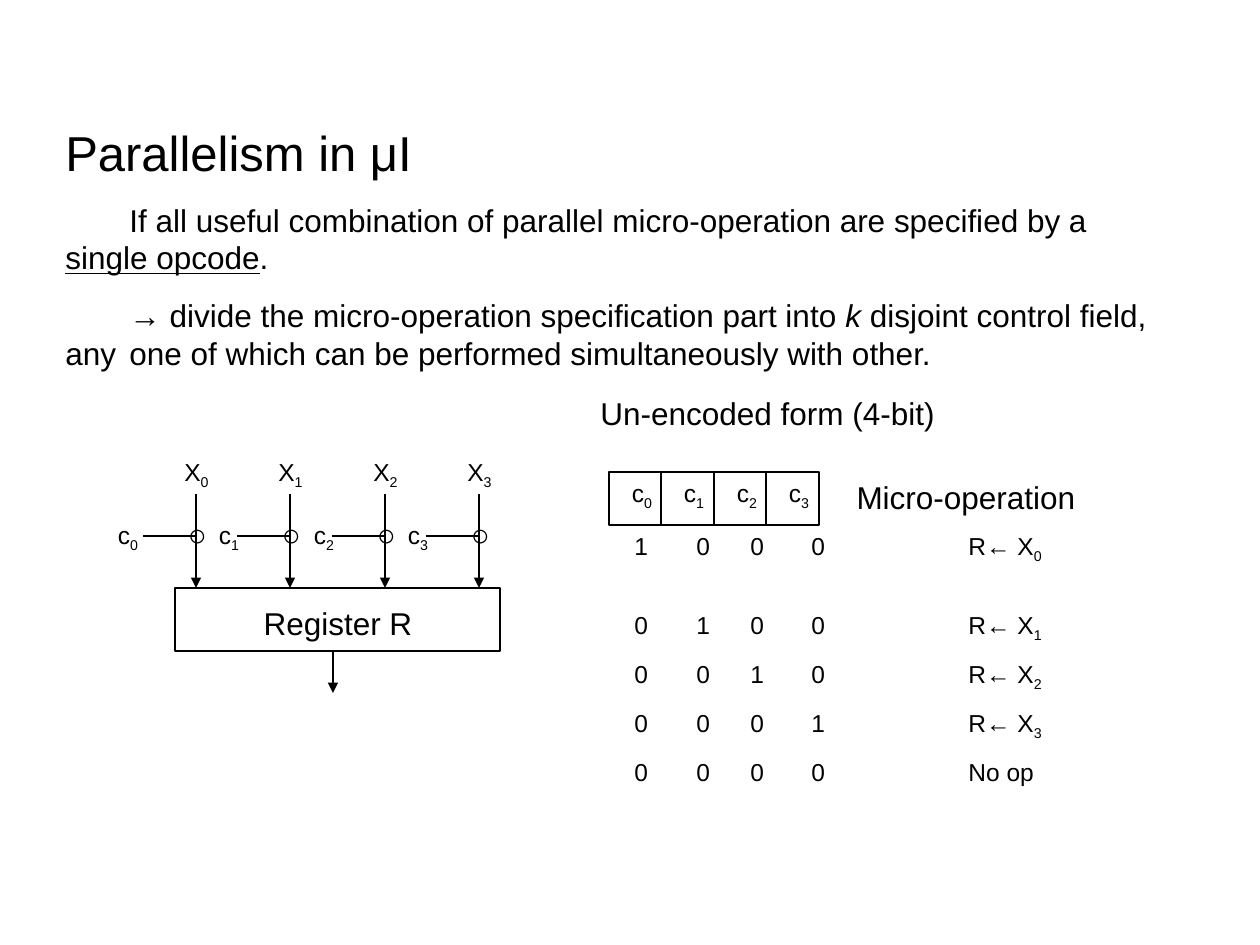
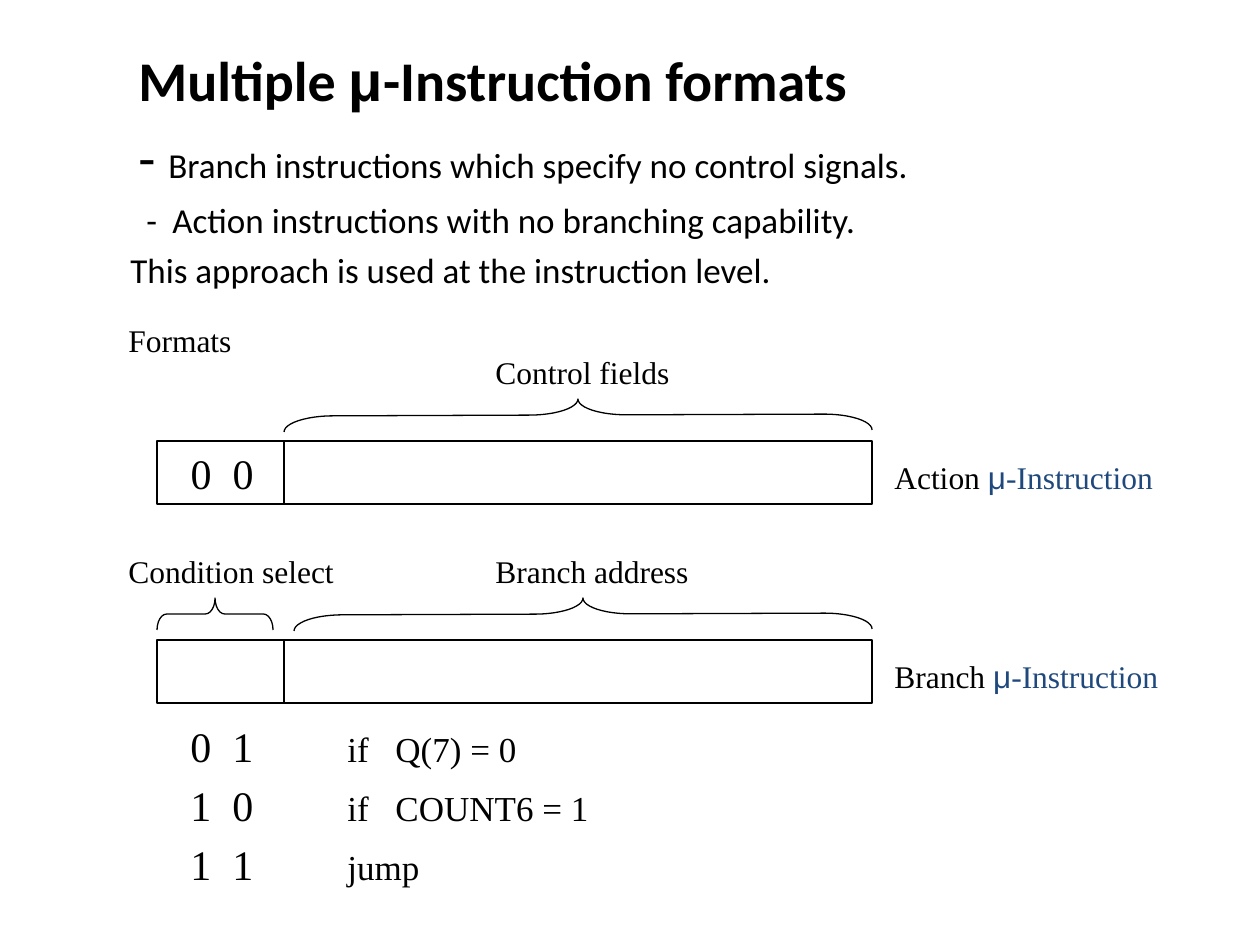
"""Builds two slides on parallelism and formats of micro-instructions."""
from lxml import etree
from pptx import Presentation
from pptx.dml.color import RGBColor
from pptx.enum.shapes import MSO_CONNECTOR, MSO_SHAPE
from pptx.enum.text import MSO_ANCHOR, PP_ALIGN
from pptx.oxml.ns import qn
from pptx.util import Pt

PX = 914400 / 126
BLACK = RGBColor(0, 0, 0)
WHITE = RGBColor(255, 255, 255)
NAVY = RGBColor(0x1F, 0x49, 0x7D)
LINE_WIDTH = Pt(0.75)
RECTANGLE, BRACE = MSO_SHAPE.RECTANGLE, MSO_SHAPE.LEFT_BRACE
STRAIGHT = MSO_CONNECTOR.STRAIGHT
LEFT, CENTER = PP_ALIGN.LEFT, PP_ALIGN.CENTER
TOP, MIDDLE = MSO_ANCHOR.TOP, MSO_ANCHOR.MIDDLE

SUBSCRIPT = {"baseline": -25000}
ARIAL_14 = {"name": "Arial", "size": Pt(14)}
ARIAL_18 = {"name": "Arial", "size": Pt(18)}
CALIBRI_20 = {"name": "Calibri", "size": Pt(20)}
CALIBRI_TITLE = {"name": "Calibri", "size": Pt(32), "bold": True}
TIMES_18 = {"name": "Times New Roman", "size": Pt(18)}
TIMES_24 = {"name": "Times New Roman", "size": Pt(24)}


def emu(px):
    """Turn px into EMU."""
    return round(px * PX)


def indexed(letter, index):
    """Return the spans of a letter with a subscript."""
    return [letter, (str(index), SUBSCRIPT)]


def add_span(para, text, font):
    """Add one run with the given font values."""
    span = para.add_run()
    span.text = text
    values = dict(font)
    baseline = values.pop("baseline", None)
    span.font.color.rgb = values.pop("color", BLACK)
    for key, value in values.items():
        setattr(span.font, key, value)
    if baseline:
        span._r.get_or_add_rPr().set("baseline", str(baseline))


def set_indents(para, margin=0, hanging=0, tabs=()):
    """Set either a hanging indent or tab stops on a paragraph."""
    properties = para._p.get_or_add_pPr()
    if hanging:
        properties.set("marL", str(emu(margin)))
        properties.set("indent", str(emu(-hanging)))
    if tabs:
        stops = etree.SubElement(properties, qn("a:tabLst"))
        for stop in tabs:
            etree.SubElement(stops, qn("a:tab"), pos=str(emu(stop)), algn="l")


def add_text(page, place, paras, font, align=LEFT, anchor=TOP):
    """Add a text box of (spans, layout) paragraphs."""
    box = page.shapes.add_textbox(*map(emu, place))
    frame = box.text_frame
    frame.word_wrap = True
    frame.vertical_anchor = anchor
    for index, (spans, layout) in enumerate(paras):
        para = frame.add_paragraph() if index else frame.paragraphs[0]
        layout = dict(layout)
        before = layout.pop("before", 0)
        set_indents(para, **layout)
        para.alignment = align
        if index:
            para.space_before = Pt(before)
        for span in spans:
            text, changes = (span, {}) if isinstance(span, str) else span
            add_span(para, text, font | changes)


def add_label(page, place, spans, font, align=LEFT):
    """Add a text box with a single paragraph."""
    add_text(page, place, [(spans, {})], font, align)


def add_box(page, left, top, width, height):
    """Add a white rectangle with a thin black outline."""
    box = page.shapes.add_shape(RECTANGLE, *map(emu, (left, top, width, height)))
    box.shadow.inherit = False
    box.fill.solid()
    box.fill.fore_color.rgb = WHITE
    box.line.color.rgb = BLACK
    box.line.width = LINE_WIDTH


def add_line(page, start, end, arrow=False):
    """Add a thin straight line, with an arrowhead at its end if asked."""
    line = page.shapes.add_connector(STRAIGHT, *map(emu, start + end))
    line.line.color.rgb = BLACK
    line.line.width = LINE_WIDTH
    if arrow:
        etree.SubElement(line.line._get_or_add_ln(), qn("a:tailEnd"), type="triangle")
    etree.SubElement(line._element.spPr, qn("a:effectLst"))


def add_brace(page, left, top, length, rotation=90.0):
    """Add a horizontal brace whose tip points up."""
    depth = 32
    place = (left + (length - depth) / 2, top - (length - depth) / 2, depth, length)
    brace = page.shapes.add_shape(BRACE, *map(emu, place))
    brace.rotation = rotation
    brace.adjustments[0] = length / 12 / depth
    brace.shadow.inherit = False
    brace.fill.background()
    brace.line.color.rgb = BLACK
    brace.line.width = LINE_WIDTH


def add_gated_input(page, index):
    """Add one register input with its control line."""
    x = 196 + index * 189 // 2
    control_left = x - (98 if index == 0 else 91)
    add_label(page, (x - 31, 451, 63, 47), indexed("X", index), ARIAL_14, CENTER)
    add_line(page, (x, 494), (x, 588), arrow=True)
    add_label(page, (x - 35, 509, 73, 50), ["○"], ARIAL_18, CENTER)
    add_line(page, (x - 53, 536), (x, 536))
    add_label(page, (control_left, 514, 60, 47), indexed("c", index), ARIAL_14, CENTER)


def add_register(page):
    """Add the register with its inputs and output."""
    for index in range(4):
        add_gated_input(page, index)
    add_box(page, 175, 588, 325, 63)
    add_label(page, (144, 598, 388, 50), ["Register R"], ARIAL_18, CENTER)
    add_line(page, (333, 651), (333, 693), arrow=True)


def add_control_codes(page):
    """Add the un-encoded control fields and their micro-operations."""
    add_label(page, (588, 388, 577, 50), ["Un-encoded form (4-bit)"], ARIAL_18)
    for index in range(4):
        shift = index * 105 // 2
        add_box(page, 609 + shift, 472, 53, 53)
        add_label(page, (612 + shift, 472, 60, 47), indexed("c", index), ARIAL_14, CENTER)
    add_label(page, (840, 472, 252, 50), ["Micro-operation"], ARIAL_18, CENTER)
    rows = []
    for active in range(5):
        bits = "\t".join(str(int(column == active)) for column in range(4))
        result = indexed("\tR← X", active) if active < 4 else ["\tNo op"]
        layout = {"tabs": (62, 116, 177, 334), "before": 26 if active == 1 else 8.8}
        rows.append(([bits] + result, layout))
    add_text(page, (622, 525, 462, 267), rows, ARIAL_14)


def build_parallelism(page):
    """Build the slide on parallelism."""
    layout = {"tabs": (64,), "before": 11.2}
    paras = [
        ([("Parallelism in μI", {"size": Pt(28)})], {}),
        (["\tIf all useful combination of parallel micro-operation are specified by a ",
          ("single opcode", {"underline": True}), "."], layout),
        (["\t→ divide the micro-operation specification part into",
          (" k", {"italic": True}),
          " disjoint control field, any \tone of which can be performed "
          "simultaneously with other."], layout),
    ]
    add_text(page, (53, 116, 1134, 262), paras, ARIAL_18)
    add_register(page)
    add_control_codes(page)


def add_format(page, top, kind, field, field_left):
    """Add one instruction format with its braced field."""
    add_box(page, 157, top, 715, 63)
    add_line(page, (284, top), (284, top + 63))
    add_brace(page, field_left, top - 42, 872 - field_left, 89.8)
    add_label(page, (483, top - 94, 230, 50), [field], TIMES_18)
    name = [f"{kind} ", ("μ", {"name": "Arial", "color": NAVY}),
            ("-Instruction", {"color": NAVY})]
    add_label(page, (882, top + 11, 305, 50), name, TIMES_18)


def build_formats(page):
    """Build the slide on instruction formats."""
    title = ["Multiple ", ("μ", {"name": "Arial"}), "-Instruction formats"]
    add_text(page, (126, 21, 872, 116), [(title, {})], CALIBRI_TITLE, anchor=MIDDLE)
    points = [
        ([("-\t", {"size": Pt(32)}),
          "Branch instructions which specify no control signals."],
         {"margin": 38, "hanging": 30}),
        (["-\tAction instructions with no branching capability."],
         {"margin": 42, "hanging": 26, "before": 5}),
        (["This approach is used at the instruction level."], {"before": 5}),
    ]
    add_text(page, (118, 116, 1070, 190), points, CALIBRI_20)
    add_label(page, (116, 315, 252, 50), ["Formats"], TIMES_18)
    add_format(page, 441, "Action", "Control fields", 284)
    add_format(page, 640, "Branch", "Branch address", 294)
    add_label(page, (116, 546, 231, 50), ["Condition select"], TIMES_18)
    add_brace(page, 157, 598, 116)
    add_label(page, (157, 441, 130, 63), ["0  0"], TIMES_24, CENTER)
    layout = {"tabs": (42, 157, 205), "before": 5}
    conditions = [("0\t1", "\tif\tQ(7) = 0"), ("1\t0", "\tif\tCOUNT6 = 1"),
                  ("1\t1", "\tjump")]
    rows = [([code, (action, {"size": Pt(20)})], layout) for code, action in conditions]
    add_text(page, (178, 714, 525, 181), rows, TIMES_24)


def main():
    """Build and save the deck."""
    deck = Presentation()
    deck.slide_width, deck.slide_height = emu(1260), emu(945)
    for build in (build_parallelism, build_formats):
        build(deck.slides.add_slide(deck.slide_layouts[6]))
    deck.save("out.pptx")


if __name__ == "__main__":
    main()
